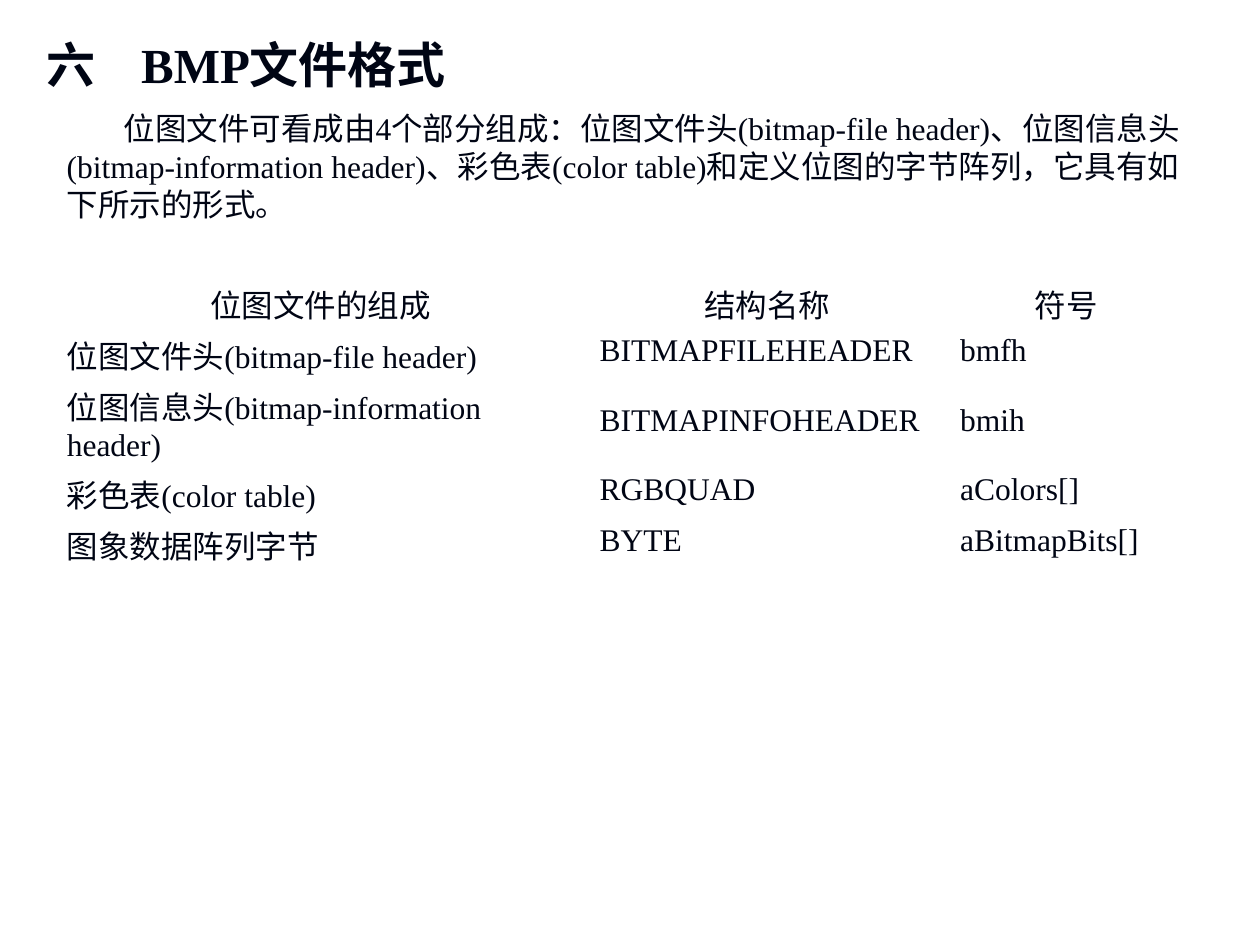
from dataclasses import dataclass

from lxml import etree
from pptx import Presentation
from pptx import util as u
from pptx.dml import color
from pptx.enum import text
from pptx.oxml import ns

Pt = u.Pt


@dataclass(frozen=True)
class Theme:
    font: str = "Times New Roman"
    ink: color.RGBColor = color.RGBColor.from_string("000514")
    border: str = "FFFFFF"
    title_size: int = 28
    body_size: int = 18


theme = Theme()


def write(frame, words, size=theme.body_size, bold=False, align=text.PP_ALIGN.LEFT,
          anchor=text.MSO_ANCHOR.MIDDLE, indent=0, tab=None):
    """Put one formatted paragraph in a text frame."""
    frame.word_wrap = True
    frame.vertical_anchor = anchor
    paragraph = frame.paragraphs[0]
    paragraph.text = words
    paragraph.alignment = align
    props = paragraph._p.get_or_add_pPr()
    if indent:
        props.set("marL", "0")
        props.set("indent", str(Pt(indent)))
    if tab:
        stops = etree.SubElement(props, ns.qn("a:tabLst"))
        etree.SubElement(stops, ns.qn("a:tab"), pos=str(Pt(tab)), algn="l")
    for run in paragraph.runs:
        run.font.name = theme.font
        run.font.size = Pt(size)
        run.font.bold = bold
        run.font.color.rgb = theme.ink


def border_cell(cell):
    """Draw thin lines on all four sides of a cell without fill."""
    props = cell._tc.get_or_add_tcPr()
    for position, side in enumerate(("lnL", "lnR", "lnT", "lnB")):
        line = etree.Element(ns.qn(f"a:{side}"), w=str(Pt(0.45)))
        fill = etree.SubElement(line, ns.qn("a:solidFill"))
        etree.SubElement(fill, ns.qn("a:srgbClr"), val=theme.border)
        props.insert(position, line)


prs = Presentation()
prs.slide_width, prs.slide_height = Pt(720), Pt(540)
slide = prs.slides.add_slide(prs.slide_layouts[5])

# Title
title = slide.shapes.title
title.left, title.top, title.width, title.height = Pt(19.5), Pt(9.5), Pt(648), Pt(54.5)
write(title.text_frame, "六\tBMP文件格式", size=theme.title_size, bold=True, tab=54)
title.text_frame.auto_size = text.MSO_AUTO_SIZE.NONE

# Introduction
intro = slide.shapes.add_textbox(Pt(31), Pt(59), Pt(663), Pt(93.5))
write(intro.text_frame,
      "位图文件可看成由4个部分组成：位图文件头(bitmap-file header)、"
      "位图信息头(bitmap-information header)、彩色表(color table)"
      "和定义位图的字节阵列，它具有如下所示的形式。",
      anchor=text.MSO_ANCHOR.TOP, indent=32.5)

# Parts of a bitmap file
parts = [
    ("位图文件的组成", "结构名称", "符号"),
    ("位图文件头(bitmap-file header)", "BITMAPFILEHEADER", "bmfh"),
    ("位图信息头(bitmap-information header)", "BITMAPINFOHEADER", "bmih"),
    ("彩色表(color table)", "RGBQUAD", "aColors[]"),
    ("图象数据阵列字节", "BYTE", "aBitmapBits[]"),
]
column_widths = (304.5, 206, 135.5)
row_heights = (29, 29, 50, 29, 29)

structure = slide.shapes.add_table(
    len(parts), len(column_widths), Pt(31), Pt(157),
    Pt(sum(column_widths)), Pt(sum(row_heights))).table
structure.first_row = structure.horz_banding = False
for column, width in zip(structure.columns, column_widths):
    column.width = Pt(width)
for row, height in zip(structure.rows, row_heights):
    row.height = Pt(height)

for r, entries in enumerate(parts):
    for c, entry in enumerate(entries):
        cell = structure.cell(r, c)
        cell.vertical_anchor = text.MSO_ANCHOR.MIDDLE
        cell.fill.background()
        border_cell(cell)
        write(cell.text_frame, entry,
              align=text.PP_ALIGN.CENTER if r == 0 else text.PP_ALIGN.LEFT)

prs.save("out.pptx")
